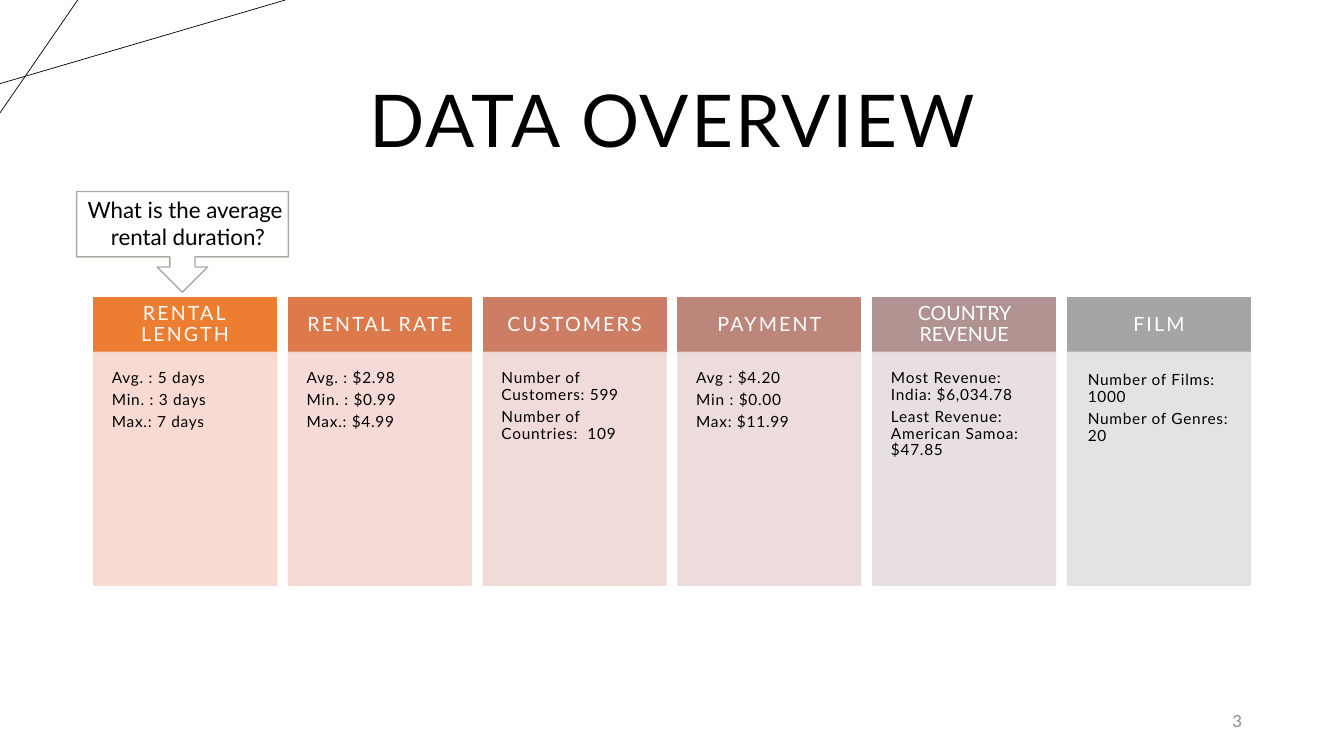
from dataclasses import dataclass

from lxml import etree
from pptx import Presentation
from pptx.dml.color import RGBColor
from pptx.enum.shapes import MSO_CONNECTOR, MSO_SHAPE
from pptx.enum.text import MSO_ANCHOR, PP_ALIGN
from pptx.oxml.ns import qn
from pptx.shapes.base import BaseShape
from pptx.slide import Slide
from pptx.text.text import TextFrame
from pptx.util import Inches, Pt

SLIDE_WIDTH, SLIDE_HEIGHT = Inches(13.33), Inches(7.5)
TITLE_ONLY_LAYOUT = 5
FONT = "Lato"

BLACK = RGBColor(0x00, 0x00, 0x00)
WHITE = RGBColor(0xFF, 0xFF, 0xFF)
NUMBER_GRAY = RGBColor(0x8C, 0x8C, 0x8C)
CALLOUT_GRAY = RGBColor(0xAC, 0xAA, 0xA5)

RECTANGLE = MSO_SHAPE.RECTANGLE
ARROW_CALLOUT = MSO_SHAPE.DOWN_ARROW_CALLOUT
STRAIGHT = MSO_CONNECTOR.STRAIGHT
TOP, MIDDLE = MSO_ANCHOR.TOP, MSO_ANCHOR.MIDDLE
LEFT, CENTER, RIGHT = PP_ALIGN.LEFT, PP_ALIGN.CENTER, PP_ALIGN.RIGHT


@dataclass(frozen=True)
class Area:
    """A rectangle in percent of the slide's width and height."""
    left: float
    top: float
    width: float
    height: float

    def lengths(self) -> tuple[int, int, int, int]:
        return (across(self.left), down(self.top),
                across(self.width), down(self.height))


@dataclass(frozen=True)
class TextStyle:
    size: float
    color: RGBColor
    alignment: PP_ALIGN
    anchor: MSO_ANCHOR = TOP
    letter_spacing: float = 0
    line_spacing: float = 1.0
    space_after: float = 0


@dataclass(frozen=True)
class Topic:
    heading: str
    facts: tuple[str, ...]
    color: RGBColor
    tint: RGBColor
    heading_spacing: float = 1.5
    panel_inset: float = 0.18


TITLE_AREA = Area(6.9, 8.13, 86.25, 16.53)
NUMBER_AREA = Area(70.65, 92.67, 22.5, 5.33)
QUESTION_AREA = Area(5.7, 25.33, 16.58, 8.53)
CALLOUT_AREA = Area(5.7, 25.33, 15.75, 13.33)
TOPICS_AREA = Area(6.98, 39.33, 86.05, 38.07)
HEADING_HEIGHT = 7.27
COLUMN_GAP = 0.9
HEADING_INSET = 0.14
PANEL_OPACITY = 90
CORNER_LINES = ((0, 11.07, 21.23, 0), (5.78, 0, 0, 14.93))

TITLE_STYLE = TextStyle(52, BLACK, CENTER, MIDDLE, 1.5, 0.9)
NUMBER_STYLE = TextStyle(12, NUMBER_GRAY, RIGHT, MIDDLE, space_after=6)
QUESTION_STYLE = TextStyle(16, BLACK, CENTER)
FACT_STYLE = TextStyle(11, BLACK, LEFT, TOP, 0.5, 0.9, 3.85)

TOPICS = (
    Topic("RENTAL LENGTH", ("Avg. : 5 days", "Min. : 3 days", "Max.: 7 days"),
          RGBColor(0xED, 0x7D, 0x31), RGBColor(0xF8, 0xD7, 0xCE)),
    Topic("RENTAL RATE", ("Avg. : $2.98", "Min. : $0.99", "Max.: $4.99"),
          RGBColor(0xDC, 0x7A, 0x4B), RGBColor(0xF4, 0xD7, 0xD1)),
    Topic("CUSTOMERS", ("Number of Customers: 599", "Number of Countries:  109"),
          RGBColor(0xCC, 0x7D, 0x64), RGBColor(0xEF, 0xD8, 0xD5)),
    Topic("PAYMENT", ("Avg : $4.20", "Min : $0.00", "Max: $11.99"),
          RGBColor(0xBD, 0x86, 0x7B), RGBColor(0xEA, 0xDA, 0xD9)),
    Topic("COUNTRY REVENUE", ("Most Revenue: India: $6,034.78",
                              "Least Revenue: American Samoa: $47.85"),
          RGBColor(0xB0, 0x93, 0x91), RGBColor(0xE6, 0xDD, 0xDD), heading_spacing=0),
    Topic("FILM", ("Number of Films: 1000", "Number of Genres: 20"),
          RGBColor(0xA5, 0xA5, 0xA5), RGBColor(0xE1, 0xE1, 0xE1), panel_inset=0.2),
)


def across(percent: float) -> int:
    return round(SLIDE_WIDTH * percent / 100)


def down(percent: float) -> int:
    return round(SLIDE_HEIGHT * percent / 100)


def write(text_frame: TextFrame, text: str, style: TextStyle, wrap: bool = True) -> None:
    text_frame.text = text
    text_frame.word_wrap = wrap
    text_frame.vertical_anchor = style.anchor
    for paragraph in text_frame.paragraphs:
        paragraph.alignment = style.alignment
        paragraph.line_spacing = style.line_spacing
        paragraph.space_after = Pt(style.space_after)
        for run in paragraph.runs:
            run.font.name = FONT
            run.font.size = Pt(style.size)
            run.font.color.rgb = style.color
            run._r.get_or_add_rPr().set("spc", str(round(style.letter_spacing * 100)))


def set_insets(text_frame: TextFrame, inches: float) -> None:
    text_frame.margin_left = text_frame.margin_right = Inches(inches)
    text_frame.margin_top = text_frame.margin_bottom = Inches(inches)


def set_opacity(shape: BaseShape, percent: int) -> None:
    """Make the fill and the outline equally see-through."""
    for color in shape._element.spPr.findall(".//" + qn("a:srgbClr")):
        etree.SubElement(color, qn("a:alpha")).set("val", str(percent * 1000))


def add_block(slide: Slide, area: Area, color: RGBColor, text: str,
              style: TextStyle, inset: float) -> BaseShape:
    block = slide.shapes.add_shape(RECTANGLE, *area.lengths())
    block.shadow.inherit = False
    block.fill.solid()
    block.fill.fore_color.rgb = color
    block.line.color.rgb = color
    block.line.width = Pt(1)
    set_insets(block.text_frame, inset)
    write(block.text_frame, text, style)
    return block


def add_topic(slide: Slide, topic: Topic, column: int) -> None:
    pitch = (TOPICS_AREA.width + COLUMN_GAP) / len(TOPICS)
    left, width = TOPICS_AREA.left + column * pitch, pitch - COLUMN_GAP
    heading_area = Area(left, TOPICS_AREA.top, width, HEADING_HEIGHT)
    panel_area = Area(left, TOPICS_AREA.top + HEADING_HEIGHT, width,
                      TOPICS_AREA.height - HEADING_HEIGHT)
    heading_style = TextStyle(14, WHITE, CENTER, MIDDLE, topic.heading_spacing, 0.9, 4.9)
    add_block(slide, heading_area, topic.color, topic.heading, heading_style, HEADING_INSET)
    panel = add_block(slide, panel_area, topic.tint, "\n".join(topic.facts),
                      FACT_STYLE, topic.panel_inset)
    set_opacity(panel, PANEL_OPACITY)


def add_corner_lines(slide: Slide) -> None:
    for start_x, start_y, end_x, end_y in CORNER_LINES:
        line = slide.shapes.add_connector(STRAIGHT, across(start_x), down(start_y),
                                          across(end_x), down(end_y))
        line.line.color.rgb = BLACK
        line.line.width = Pt(0.5)
        etree.SubElement(line._element.spPr, qn("a:effectLst"))


def add_title(slide: Slide) -> None:
    title = slide.shapes.title
    title.left, title.top, title.width, title.height = TITLE_AREA.lengths()
    write(title.text_frame, "DATA OVERVIEW", TITLE_STYLE)


def add_question(slide: Slide) -> None:
    question = slide.shapes.add_textbox(*QUESTION_AREA.lengths())
    write(question.text_frame, "What is the average \nrental duration?",
          QUESTION_STYLE, wrap=False)
    callout = slide.shapes.add_shape(ARROW_CALLOUT, *CALLOUT_AREA.lengths())
    callout.shadow.inherit = False
    callout.fill.background()
    callout.line.color.rgb = CALLOUT_GRAY
    callout.line.width = Pt(1)


def main() -> None:
    presentation = Presentation()
    presentation.slide_width, presentation.slide_height = SLIDE_WIDTH, SLIDE_HEIGHT
    slide = presentation.slides.add_slide(presentation.slide_layouts[TITLE_ONLY_LAYOUT])
    add_corner_lines(slide)
    add_title(slide)
    number = slide.shapes.add_textbox(*NUMBER_AREA.lengths())
    write(number.text_frame, "3", NUMBER_STYLE)
    for column, topic in enumerate(TOPICS):
        add_topic(slide, topic, column)
    add_question(slide)
    presentation.save("out.pptx")


if __name__ == "__main__":
    main()
